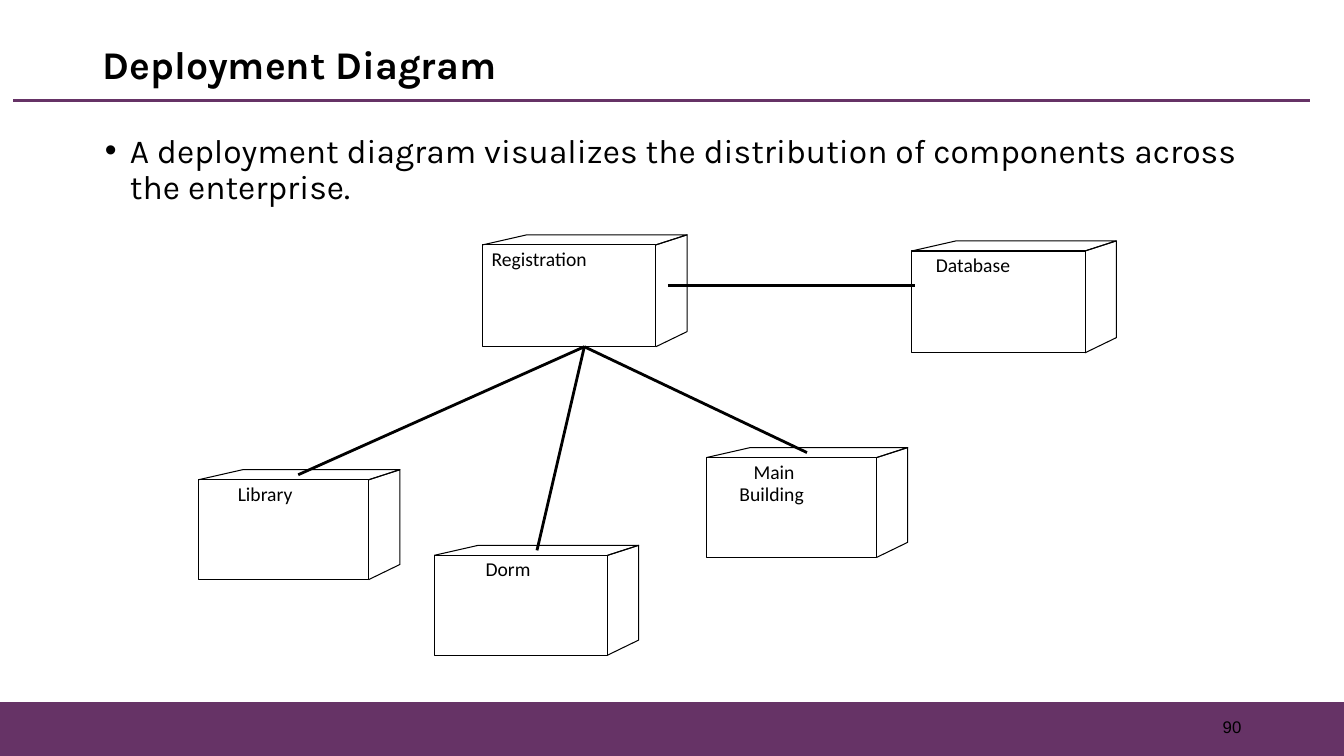
from pptx import Presentation
from pptx.dml.color import RGBColor
from pptx.enum.shapes import MSO_CONNECTOR, MSO_SHAPE
from pptx.enum.text import MSO_ANCHOR, MSO_AUTO_SIZE, PP_ALIGN
from pptx.oxml.ns import qn
from pptx.oxml.xmlchemy import OxmlElement
from pptx.util import Inches, Pt

PURPLE, BLACK = "663366", "000000"
DEPTH_X, DEPTH_Y = 0.31, 0.1   # offset of a node's back edge
TOP_SKEW, SIDE_RISE = 0.44, 0.15
LABEL_STEP = 0.22

# left, top and size of each front face; label lines with their left offsets
NODES = [
    (4.79, 2.43, 1.72, 1.01, [("Registration", 0.09, 0.96)]),
    (9.05, 2.49, 1.72, 1.01, [("Database", 0.24, 0.74)]),
    (1.97, 4.76, 1.69, 0.99, [("Library", 0.39, 0.55)]),
    (4.31, 5.51, 1.72, 0.99, [("Dorm", 0.51, 0.45)]),
    (7.01, 4.54, 1.69, 0.99, [("Main", 0.47, 0.45), ("Building", 0.33, 0.64)]),
]
HUB = (5.8, 3.44)
LINKS = [(HUB, (2.96, 4.71)), (HUB, (5.33, 5.46)), (HUB, (8.01, 4.49)),
         ((6.63, 2.83), (9.08, 2.83))]


def rgb(value):
    return RGBColor.from_string(value)


def place(sp, x, y, w, h):
    sp.left, sp.top, sp.width, sp.height = map(Inches, (x, y, w, h))


def add_run(p, text, font, size, bold=False):
    r = p.add_run()
    r.text = text
    r.font.name, r.font.size, r.font.bold = font, Pt(size), bold
    r.font.color.rgb = rgb(BLACK)


def set_insets(tf, x, y):
    tf.margin_left = tf.margin_right = Inches(x)
    tf.margin_top = tf.margin_bottom = Inches(y)


def outline(sp):
    sp.shadow.inherit = False
    sp.fill.background()
    sp.line.color.rgb = rgb(BLACK)
    sp.line.width = Pt(0)


def add_line(slide, start, end, color, width):
    line = slide.shapes.add_connector(
        MSO_CONNECTOR.STRAIGHT, *map(Inches, (*start, *end)))
    line.line.color.rgb = rgb(color)
    line.line.width = Pt(width)
    line._element.spPr.append(OxmlElement("a:effectLst"))


def add_face(slide, points):
    corners = [(Inches(x), Inches(y)) for x, y in points]
    builder = slide.shapes.build_freeform(*corners[0])
    builder.add_line_segments(corners[1:], close=False)
    outline(builder.convert_to_shape())


def add_text(slide, box, text, font, size):
    sp = slide.shapes.add_textbox(*map(Inches, box))
    p = sp.text_frame.paragraphs[0]
    add_run(p, text, font, size)
    return sp.text_frame, p


def add_frame(slide, w):
    # Footer band, rule under the title and page number
    band = slide.shapes.add_shape(
        MSO_SHAPE.RECTANGLE, 0, Inches(6.97), Inches(w), Inches(0.55))
    band.shadow.inherit = False
    band.fill.solid()
    band.fill.fore_color.rgb = band.line.color.rgb = rgb(PURPLE)
    band.line.width = Pt(1)
    add_line(slide, (0.13, 1), (13, 1), PURPLE, 2.25)
    tf, p = add_text(slide, (9.42, 7.01, 3, 0.4), "90", "Arial", 12)
    tf.word_wrap = True
    tf.vertical_anchor = MSO_ANCHOR.MIDDLE
    p.alignment = PP_ALIGN.RIGHT


def add_title(sp, x, y, w, h):
    place(sp, x, y, w, h)
    tf = sp.text_frame
    tf.auto_size = MSO_AUTO_SIZE.NONE
    tf.vertical_anchor = MSO_ANCHOR.MIDDLE
    p = tf.paragraphs[0]
    p.alignment, p.line_spacing = PP_ALIGN.LEFT, 0.9
    add_run(p, "Deployment Diagram", "Karla", 28, True)


def add_body(sp, x, y, w, h):
    place(sp, x, y, w, h)
    tf = sp.text_frame
    tf.auto_size = MSO_AUTO_SIZE.NONE
    set_insets(tf, 0.12, 0.06)
    p = tf.paragraphs[0]
    pPr = p._p.get_or_add_pPr()
    pPr.set("marL", str(Inches(0.25)))
    pPr.set("indent", str(-Inches(0.25)))
    bullet = OxmlElement("a:buChar")
    bullet.set("char", "•")
    pPr.append(bullet)
    p.line_spacing, p.space_before = 0.9, Pt(0)
    add_run(p, "A deployment diagram visualizes the distribution of "
               "components across the enterprise.", "Karla", 24)


def add_node(slide, x, y, w, h, labels):
    # Front, top and side faces of the box
    outline(slide.shapes.add_shape(
        MSO_SHAPE.RECTANGLE, *map(Inches, (x, y, w, h))))
    right, back_x, back_y = x + w, x + w + DEPTH_X, y - DEPTH_Y
    add_face(slide, [(x, y), (x + TOP_SKEW, back_y),
                     (back_x, back_y), (right, y)])
    add_face(slide, [(right, y), (back_x, back_y),
                     (back_x, y + h - SIDE_RISE), (right, y + h)])
    # Label lines
    for i, (text, dx, width) in enumerate(labels):
        box = (x + dx, y + 0.02 + i * LABEL_STEP, width, 0.23)
        tf, _ = add_text(slide, box, text, "Calibri", 14)
        tf.word_wrap = False
        tf.auto_size = MSO_AUTO_SIZE.SHAPE_TO_FIT_TEXT
        set_insets(tf, 0, 0)


def main():
    prs = Presentation()
    prs.slide_width, prs.slide_height = Inches(13.34), Inches(7.5)
    slide = prs.slides.add_slide(prs.slide_layouts[1])
    add_frame(slide, 13.34)
    add_title(slide.shapes.title, 0.92, 0.3, 11.5, 0.73)
    add_body(slide.placeholders[1], 0.92, 1.27, 11.5, 5.49)
    # Deployment nodes and their links
    for node in NODES:
        add_node(slide, *node)
    for start, end in LINKS:
        add_line(slide, start, end, BLACK, 0)
    prs.save("out.pptx")


if __name__ == "__main__":
    main()
